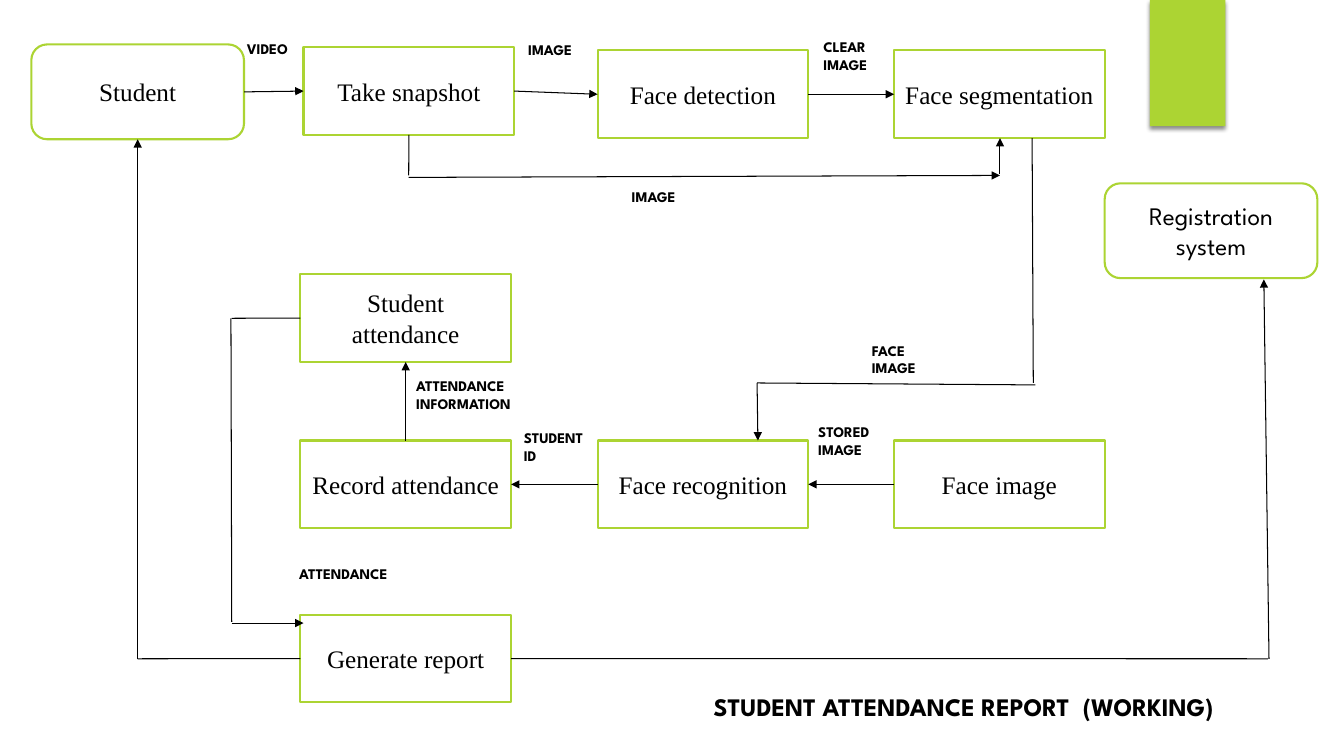
from lxml.etree import SubElement
from pptx import Presentation
from pptx.dml.color import RGBColor
from pptx.enum.shapes import MSO_CONNECTOR as Link, MSO_SHAPE as Preset
from pptx.enum.text import MSO_ANCHOR as Anchor, MSO_AUTO_SIZE as AutoSize, PP_ALIGN as Align
from pptx.oxml.ns import qn
from pptx.util import Cm, Pt

COLORS = {"green": "ACD433", "white": "FFFFFF", "black": "000000"}
SANS, SERIF = "League Spartan", "Times New Roman"
TOP, LEFT, BOTTOM, RIGHT = range(4)


def color(name):
    return RGBColor.from_string(COLORS[name])


def write(shape, text, font=SANS, size=18, bold=False, align=Align.LEFT, anchor=Anchor.TOP, wrap=True):
    frame = shape.text_frame
    frame.word_wrap = wrap
    frame.auto_size = AutoSize.NONE
    frame.vertical_anchor = anchor
    para = frame.paragraphs[0]
    para.alignment = align
    span = para.add_run()
    span.text = text
    span.font.name = font
    span.font.size = Pt(size)
    span.font.bold = bold
    span.font.color.rgb = color("black")


deck = Presentation()
deck.slide_width, deck.slide_height = Cm(33.87), Cm(19.05)
page = deck.slides.add_slide(deck.slide_layouts[5])

bar = page.shapes.add_shape(Preset.RECTANGLE, Cm(28.98), Cm(0), Cm(1.9), Cm(3.18))
bar.fill.solid()
bar.fill.fore_color.rgb = color("green")
bar.line.fill.background()
effects = SubElement(bar._element.spPr, qn("a:effectLst"))
shadow = SubElement(effects, qn("a:outerShdw"), blurRad=str(Pt(3)), dist=str(Pt(2)), dir="5400000", rotWithShape="0")
shade = SubElement(shadow, qn("a:srgbClr"), val=COLORS["black"])
SubElement(shade, qn("a:alpha"), val="45000")

PROCESS = (Preset.RECTANGLE, 5.31, 2.21)
ENTITY = (Preset.ROUNDED_RECTANGLE, 5.36, 2.39)
steps = [
    ("Student", 0.79, 1.12, ENTITY, SERIF),
    ("Take snapshot", 7.65, 1.19, PROCESS, SERIF),
    ("Face detection", 15.06, 1.27, PROCESS, SERIF),
    ("Face segmentation", 22.53, 1.27, PROCESS, SERIF),
    ("Student attendance", 7.57, 6.91, PROCESS, SERIF),
    ("Record attendance", 7.57, 11.1, PROCESS, SERIF),
    ("Face recognition", 15.06, 11.1, PROCESS, SERIF),
    ("Face image", 22.53, 11.1, PROCESS, SERIF),
    ("Generate report", 7.57, 15.49, PROCESS, SERIF),
    ("Registration system", 27.84, 4.62, ENTITY, SANS),
]
boxes = {}
for name, left, top, (preset, width, height), font in steps:
    box = page.shapes.add_shape(preset, Cm(left), Cm(top), Cm(width), Cm(height))
    box.shadow.inherit = False
    box.fill.solid()
    box.fill.fore_color.rgb = color("white")
    box.line.color.rgb = color("green")
    box.line.width = Pt(1.5)
    write(box, name, font=font, align=Align.CENTER, anchor=Anchor.MIDDLE)
    boxes[name] = box

flows = [
    (("Student", RIGHT), ("Take snapshot", LEFT), True),
    (("Take snapshot", RIGHT), ("Face detection", LEFT), True),
    (("Face detection", RIGHT), ("Face segmentation", LEFT), True),
    (("Take snapshot", BOTTOM), (10.3, 4.42), False),
    ((10.3, 4.47), (25.2, 4.42), True),
    ((25.2, 4.39), (25.2, 3.48), True),
    (("Face image", LEFT), ("Face recognition", RIGHT), True),
    (("Face recognition", LEFT), ("Record attendance", RIGHT), True),
    (("Record attendance", TOP), ("Student attendance", BOTTOM), True),
    (("Generate report", LEFT), (3.47, 16.6), False),
    ((3.47, 16.6), ("Student", BOTTOM), True),
    (("Generate report", RIGHT), (31.95, 16.6), False),
    ((31.98, 16.6), (31.85, 7.04), True),
    (("Student attendance", LEFT), (5.84, 8.02), False),
    ((5.82, 8.02), (5.84, 15.67), False),
    ((5.84, 15.7), (7.65, 15.7), True),
    ((26.01, 3.48), (26.04, 9.65), False),
    ((26.09, 9.7), (19.08, 9.65), False),
    ((19.08, 9.65), (19.1, 11.1), True),
]
for start, end, arrow in flows:
    points = [(0, 0) if point[0] in boxes else point for point in (start, end)]
    line = page.shapes.add_connector(Link.STRAIGHT, *[Cm(value) for point in points for value in point])
    if start[0] in boxes:
        line.begin_connect(boxes[start[0]], start[1])
    if end[0] in boxes:
        line.end_connect(boxes[end[0]], end[1])
    line.line.color.rgb = color("black")
    line.line.width = Pt(0.75)
    if arrow:
        SubElement(line.line._get_or_add_ln(), qn("a:tailEnd"), type="triangle")
    SubElement(line._element.spPr, qn("a:effectLst"))

labels = [
    ("VIDEO", 5.97, 0.89, 1.65, 0.71, True),
    ("IMAGE", 13.06, 0.91, 1.85, 0.71, True),
    ("CLEAR IMAGE", 20.5, 0.84, 1.93, 1.14, True),
    ("IMAGE", 15.67, 4.62, 1.85, 0.71, True),
    ("FACE IMAGE", 21.72, 8.48, 1.85, 1.14, True),
    ("STORED IMAGE", 20.37, 10.54, 2.06, 1.14, True),
    ("STUDENT ID", 12.95, 10.69, 2.08, 1.14, True),
    ("ATTENDANCE INFORMATION", 10.24, 9.37, 3.12, 1.14, True),
    ("ATTENDANCE", 7.29, 14.1, 2.87, 0.71, False),
]
for text, left, top, width, height, wrap in labels:
    label = page.shapes.add_textbox(Cm(left), Cm(top), Cm(width), Cm(height))
    write(label, text, size=10.5, bold=True, wrap=wrap)

title = page.shapes.title
title.left, title.top, title.width, title.height = Cm(17.73), Cm(17.3), Cm(15.01), Cm(1.02)
write(title, "STUDENT ATTENDANCE REPORT  (WORKING)", bold=True)

deck.save("out.pptx")
